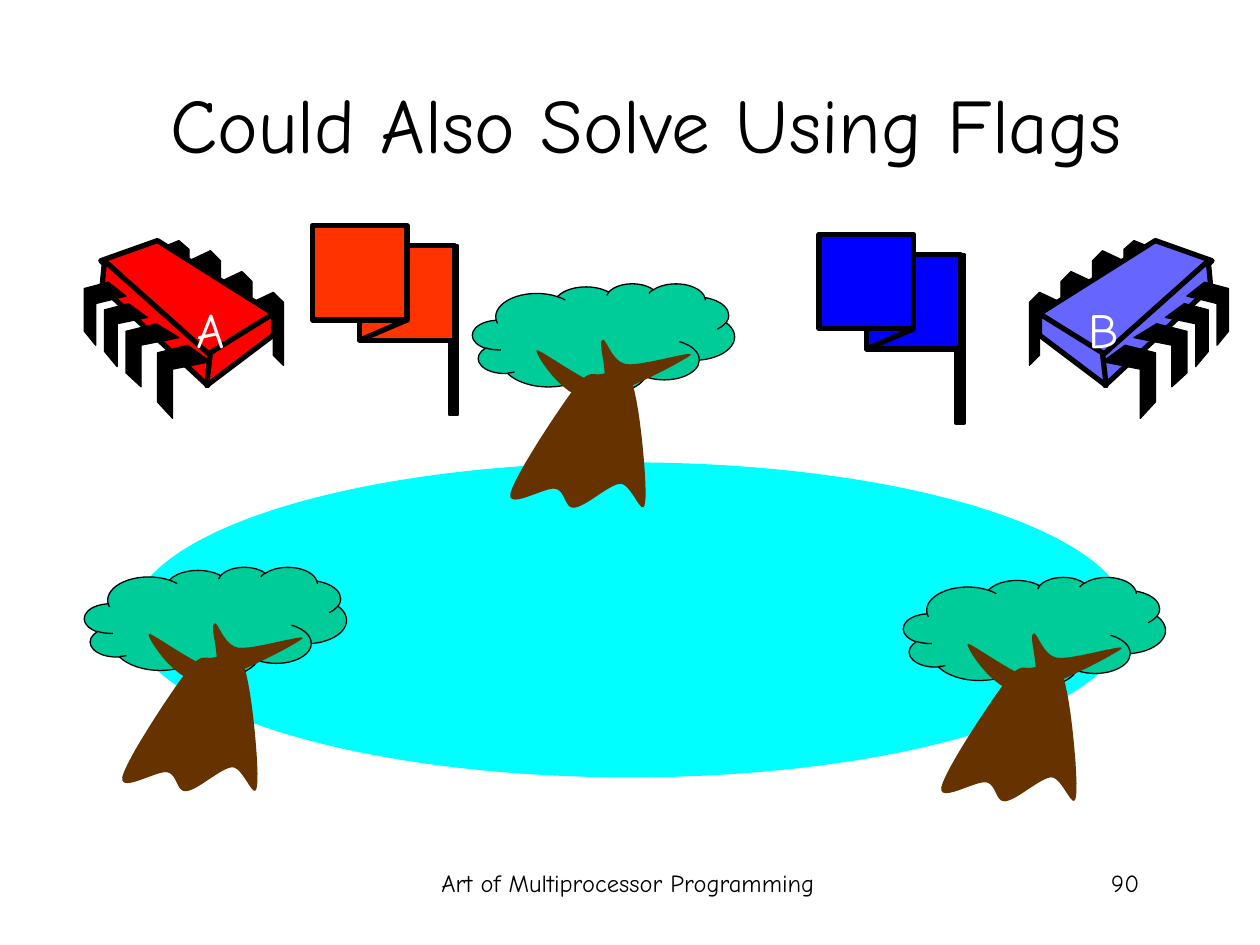
from dataclasses import dataclass

from lxml.etree import SubElement
from pptx import Presentation
from pptx.dml.color import RGBColor
from pptx.enum.shapes import MSO_CONNECTOR as Connector, MSO_SHAPE as Preset
from pptx.enum.text import MSO_ANCHOR as Anchor, PP_ALIGN as Align
from pptx.oxml.ns import qn
from pptx.shapes.autoshape import Shape
from pptx.shapes.group import GroupShape
from pptx.slide import Slide
from pptx.text.text import TextFrame
from pptx.util import Inches, Pt

Point = tuple[float, float]
Curve = tuple[Point, Point, Point]


@dataclass(frozen=True)
class Theme:
    font: str = "Comic Neue"
    title_size: int = 44
    label_size: int = 28
    footer_size: int = 14
    black: str = "000000"
    white: str = "FFFFFF"
    water: str = "00FFFF"
    leaves: str = "00CC99"
    wood: str = "663300"
    hair: float = 0.75
    pole: float = 2.25
    thick: float = 3


@dataclass(frozen=True)
class Chip:
    fill: str
    mirrored: bool


@dataclass(frozen=True)
class Label:
    text: str
    left: float
    top: float
    width: float
    height: float
    size: int
    color: str
    align: Align = Align.RIGHT
    wrap: bool = True


@dataclass(frozen=True)
class Flag:
    left: float
    top: float
    fill: str


THEME = Theme()
MIRROR_SUM = 10.42  # x of a point plus x of its mirrored twin

CHIPS = [Chip("FF0000", False), Chip("6666FF", True)]
CHIP_LABELS = [
    Label("A", 1.46, 2.33, 0.42, 0.57, THEME.label_size, THEME.white, wrap=False),
    Label("B", 8.54, 2.33, 0.44, 0.57, THEME.label_size, THEME.white, wrap=False),
]
FOOTERS = [
    Label("Art of Multiprocessor Programming", 3.4, 6.84, 3.17, 0.5,
          THEME.footer_size, THEME.black, Align.CENTER),
    Label("90", 7.06, 6.84, 2.08, 0.5, THEME.footer_size, THEME.black),
]
TREES: list[Point] = [(3.75, 2.25), (7.17, 4.58), (0.67, 4.5)]
FLAGS = [Flag(6.5, 1.86, "0000FF"), Flag(2.48, 1.79, "FF3300")]

BACK_LEG = [(0, 0.08), (0.17, 0), (0.25, 0.08), (0.25, 0.58),
            (0.17, 0.5), (0.17, 0.17), (0, 0.25)]
SHORT_BACK_LEG = [(1.25, 1.98), (1.42, 1.91), (1.5, 1.98), (1.5, 2.41),
                  (1.42, 2.33), (1.42, 2.05), (1.25, 2.12)]
CHIP_FACES = [
    [(1.25, 1.91), (2.17, 2.49), (1.65, 2.84), (0.8, 2.07)],
    [(0.83, 2.07), (1.67, 2.82), (1.65, 3.06), (0.81, 2.28)],
    [(2.17, 2.49), (2.17, 2.66), (1.64, 3.06), (1.67, 2.8)],
]
FRONT_LEGS = [
    [(1.49, 2.74), (1.67, 2.87), (1.37, 2.93), (1.37, 3.32), (1.25, 3.19), (1.25, 2.8)],
    [(1.24, 2.57), (1.42, 2.68), (1.12, 2.74), (1.12, 3.07), (1, 2.96), (1, 2.63)],
    [(1.02, 2.41), (1.17, 2.52), (0.93, 2.57), (0.93, 2.91), (0.83, 2.79), (0.83, 2.46)],
    [(0.86, 2.24), (1, 2.35), (0.76, 2.41), (0.76, 2.74), (0.67, 2.63), (0.67, 2.29)],
]

# Tree curves are measured from the top left of the crown.
TRUNK: list[Curve] = [
    ((0.93, 0.68), (0.94, 0.73), (1.02, 0.72)),
    ((1.09, 0.71), (1.21, 0.63), (1.27, 0.8)),
    ((1.33, 0.97), (1.39, 1.61), (1.37, 1.74)),
    ((1.35, 1.88), (1.26, 1.58), (1.17, 1.59)),
    ((1.08, 1.6), (0.9, 1.77), (0.81, 1.78)),
    ((0.73, 1.79), (0.74, 1.65), (0.66, 1.63)),
    ((0.58, 1.61), (0.28, 1.8), (0.3, 1.67)),
    ((0.33, 1.53), (0.69, 0.99), (0.81, 0.83)),
]
BRANCHES: list[Curve] = [
    ((0.49, 0.55), (0.71, 0.9), (0.91, 0.91)),
    ((1.12, 0.92), (1.68, 0.61), (1.73, 0.57)),
    ((1.78, 0.52), (1.34, 0.66), (1.22, 0.64)),
    ((1.1, 0.62), (1.06, 0.42), (1.03, 0.45)),
    ((0.99, 0.47), (1.1, 0.78), (1.02, 0.8)),
    ((0.93, 0.81), (0.52, 0.51), (0.51, 0.53)),
]


def paint(shape: Shape, fill: str, line_width: float = 0) -> None:
    shape.shadow.inherit = False
    shape.fill.solid()
    shape.fill.fore_color.rgb = RGBColor.from_string(fill)
    if line_width:
        shape.line.color.rgb = RGBColor.from_string(THEME.black)
        shape.line.width = Pt(line_width)
    else:
        shape.line.fill.background()


def shift(points: list[Point], left: float, top: float) -> list[Point]:
    return [(x + left, y + top) for x, y in points]


def flatten(curves: list[Curve], steps: int = 12) -> list[Point]:
    """Turn a closed run of cubic Bezier curves into outline points."""
    points = []
    start = curves[-1][-1]
    for first, second, end in curves:
        for step in range(1, steps + 1):
            t = step / steps
            weights = ((1 - t) ** 3, 3 * t * (1 - t) ** 2, 3 * t * t * (1 - t), t ** 3)
            knots = (start, first, second, end)
            points.append((sum(w * k[0] for w, k in zip(weights, knots)),
                           sum(w * k[1] for w, k in zip(weights, knots))))
        start = end
    return points


def draw_polygon(group: GroupShape, points: list[Point], fill: str,
                 line_width: float = 0) -> None:
    start, *rest = [(Inches(x), Inches(y)) for x, y in points]
    builder = group.shapes.build_freeform(*start)
    builder.add_line_segments(rest, close=True)
    paint(builder.convert_to_shape(), fill, line_width)


def draw_preset(owner: Slide | GroupShape, preset: Preset, left: float, top: float,
                width: float, height: float, fill: str, line_width: float = 0) -> Shape:
    shape = owner.shapes.add_shape(
        preset, Inches(left), Inches(top), Inches(width), Inches(height))
    paint(shape, fill, line_width)
    return shape


def draw_chip(slide: Slide, chip: Chip) -> None:
    group = slide.shapes.add_group_shape()
    back_legs = [shift(BACK_LEG, 1.5 + 0.25 * i, 1.99 + 0.165 * i) for i in (2, 1, 0)]
    parts = [(leg, THEME.black, THEME.hair) for leg in [*back_legs, SHORT_BACK_LEG]]
    parts += [(face, chip.fill, THEME.thick) for face in CHIP_FACES]
    parts += [(leg, THEME.black, THEME.hair) for leg in FRONT_LEGS]
    for points, fill, width in parts:
        if chip.mirrored:
            points = [(MIRROR_SUM - x, y) for x, y in points]
        draw_polygon(group, points, fill, width)


def draw_tree(slide: Slide, left: float, top: float) -> None:
    group = slide.shapes.add_group_shape()
    crown = draw_preset(group, Preset.CLOUD_CALLOUT, left, top, 2.08, 0.87,
                        THEME.leaves, THEME.hair)
    crown.adjustments[0], crown.adjustments[1] = 0.018, 0.493
    for curves in (TRUNK, BRANCHES):
        draw_polygon(group, shift(flatten(curves), left, top), THEME.wood)


def draw_flag(slide: Slide, flag: Flag) -> None:
    group = slide.shapes.add_group_shape()
    left, top, side = flag.left, flag.top, 0.75
    fold_left, fold_top = left + side / 2, top + 0.16
    draw_preset(group, Preset.RECTANGLE, left + 1.09, fold_top, 0.06, 1.34,
                THEME.black, THEME.pole)
    draw_preset(group, Preset.RECTANGLE, fold_left, fold_top, side, side,
                flag.fill, THEME.thick)
    fold = group.shapes.add_connector(
        Connector.STRAIGHT, Inches(fold_left), Inches(fold_top + side),
        Inches(left + side), Inches(top + side))
    fold.line.color.rgb = RGBColor.from_string(THEME.black)
    fold.line.width = Pt(THEME.thick)
    SubElement(fold.element.spPr, qn("a:effectLst"))
    draw_preset(group, Preset.RECTANGLE, left, top, side, side, flag.fill, THEME.thick)


def write(frame: TextFrame, text: str, size: int, color: str, align: Align) -> None:
    frame.text = text
    para = frame.paragraphs[0]
    para.alignment = align
    para.font.name = THEME.font
    para.font.size = Pt(size)
    para.font.color.rgb = RGBColor.from_string(color)


def draw_label(slide: Slide, label: Label) -> None:
    box = slide.shapes.add_textbox(Inches(label.left), Inches(label.top),
                                   Inches(label.width), Inches(label.height))
    box.text_frame.word_wrap = label.wrap
    write(box.text_frame, label.text, label.size, label.color, label.align)


def main() -> None:
    deck = Presentation()
    deck.slide_width, deck.slide_height = Inches(10), Inches(7.5)
    slide = deck.slides.add_slide(deck.slide_layouts[5])

    title = slide.shapes.title
    title.left, title.top = Inches(0.88), Inches(0.35)
    title.width, title.height = Inches(8.5), Inches(1.25)
    title.text_frame.vertical_anchor = Anchor.MIDDLE
    write(title.text_frame, "Could Also Solve Using Flags", THEME.title_size,
          THEME.black, Align.CENTER)

    for footer in FOOTERS:
        draw_label(slide, footer)
    for chip in CHIPS:
        draw_chip(slide, chip)
    draw_preset(slide, Preset.OVAL, 1.04, 3.67, 7.92, 2.5, THEME.water)
    for label in CHIP_LABELS:
        draw_label(slide, label)
    for left, top in TREES:
        draw_tree(slide, left, top)
    for flag in FLAGS:
        draw_flag(slide, flag)
    deck.save("out.pptx")


if __name__ == "__main__":
    main()
